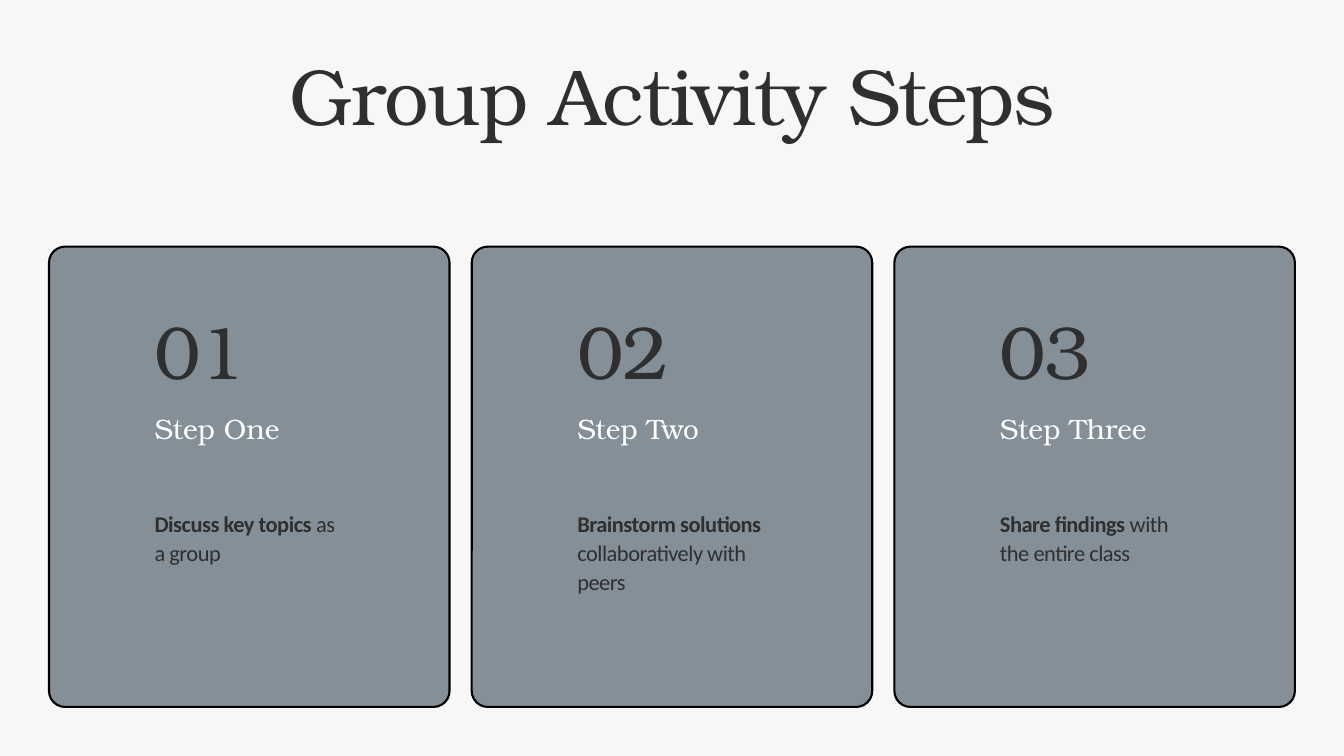
from pptx import Presentation
from pptx.dml.color import RGBColor
from pptx.enum.shapes import MSO_SHAPE
from pptx.enum.text import MSO_AUTO_SIZE, PP_ALIGN
from pptx.util import Inches, Pt

COLORS = {"page": "F7F7F7", "card": "858F97", "border": "000000",
          "dark": "2F2F2F", "light": "FFFFFF"}
SERIF, SANS = "TeX Gyre Bonum", "Calibri"
STEPS = [
    ("01", "Step One", "Discuss key topics", " as a group", 0.85),
    ("02", "Step Two", "Brainstorm solutions", " collaboratively with peers", 1.71),
    ("03", "Step Three", "Share findings", " with the entire class", 0.85),
]
MARGIN, CARD_W, PITCH = 0.73, 5.96, 6.29
TEXT_INSET, TEXT_W = 1.57, 2.81

prs = Presentation()
prs.slide_width, prs.slide_height = Inches(20), Inches(11.25)
s = prs.slides.add_slide(prs.slide_layouts[6])
s.background.fill.solid()
s.background.fill.fore_color.rgb = RGBColor.from_string(COLORS["page"])


def add_text(*runs, box, size, leading, font=SERIF, color="dark",
             spacing=0, bold_first=False, align=PP_ALIGN.LEFT):
    """Add a one-paragraph text box; size, leading and spacing are in points."""
    tf = s.shapes.add_textbox(*map(Inches, box)).text_frame
    tf.word_wrap = True
    tf.auto_size = MSO_AUTO_SIZE.SHAPE_TO_FIT_TEXT
    tf.margin_left = tf.margin_top = tf.margin_right = tf.margin_bottom = 0
    p = tf.paragraphs[0]
    p.alignment = align
    p.line_spacing = Pt(leading)
    for i, text in enumerate(runs):
        r = p.add_run()
        r.text = text
        r.font.name = font
        r.font.size = Pt(size)
        r.font.bold = bold_first and i == 0
        r.font.color.rgb = RGBColor.from_string(COLORS[color])
        if spacing:
            r.font._element.set("spc", str(round(spacing * 100)))


for i in range(len(STEPS)):
    card = s.shapes.add_shape(MSO_SHAPE.ROUNDED_RECTANGLE, Inches(MARGIN + i * PITCH),
                              Inches(3.67), Inches(CARD_W), Inches(6.85))
    card.adjustments[0] = 0.04
    card.shadow.inherit = False
    card.fill.solid()
    card.fill.fore_color.rgb = RGBColor.from_string(COLORS["card"])
    card.line.color.rgb = RGBColor.from_string(COLORS["border"])
    card.line.width = Pt(2.25)

add_text("Group Activity Steps", box=(MARGIN, 0.92, 18.54, 1.23), size=85,
         leading=85, spacing=-1.7, align=PP_ALIGN.CENTER)

for i, (number, name, lead, rest, body_h) in enumerate(STEPS):
    x = MARGIN + TEXT_INSET + i * PITCH
    add_text(number, box=(x, 4.76, TEXT_W, 1.21), size=80, leading=80, spacing=-1.6)
    add_text(name, box=(x, 6.08, TEXT_W, 0.52), size=30, leading=39, color="light")
    add_text(lead, rest, box=(x, 7.55, TEXT_W, body_h), size=24, leading=31.2,
             font=SANS, spacing=-0.5, bold_first=True)

prs.save("out.pptx")
